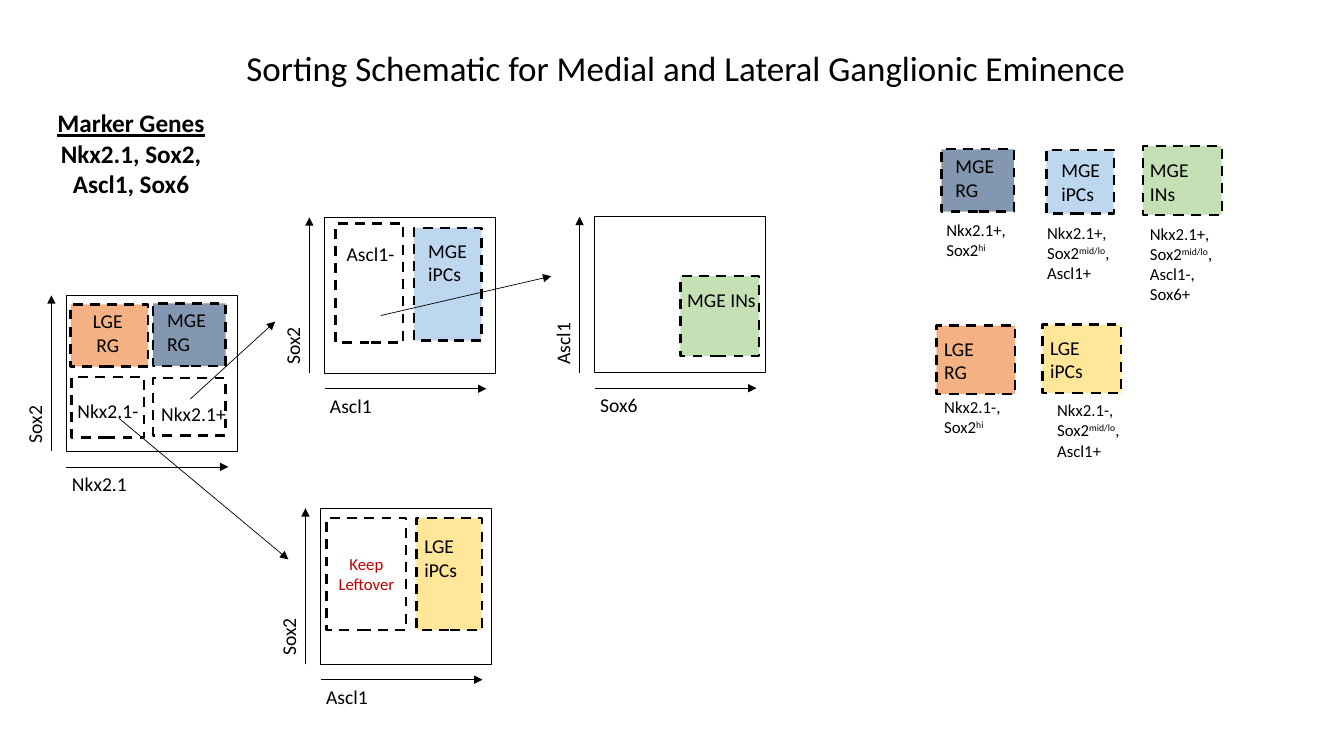
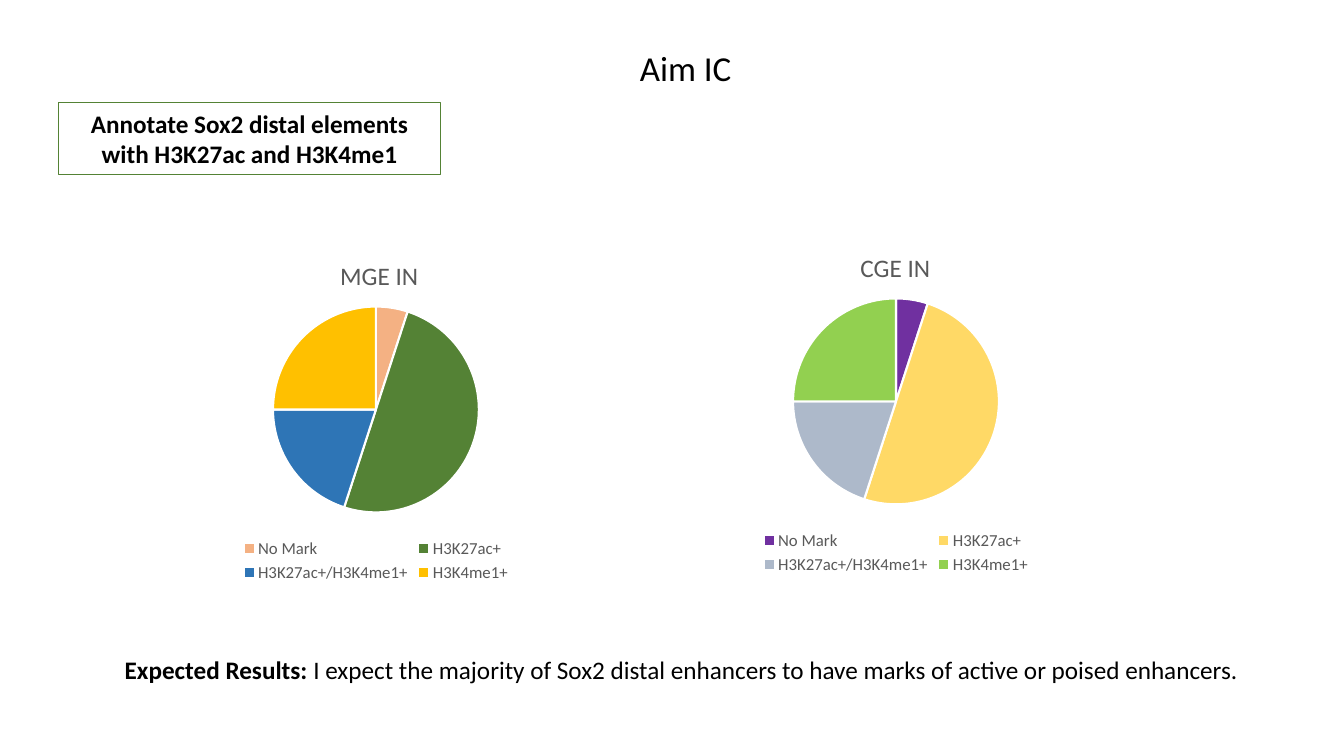
import pptx
import pptx.chart.data
import pptx.dml.color
import pptx.enum.chart
import pptx.enum.dml
import pptx.enum.shapes
import pptx.enum.text
import pptx.oxml
import pptx.oxml.ns
import pptx.util
from lxml import etree

Pt = pptx.util.Pt
RGB = pptx.dml.color.RGBColor
ALIGN = pptx.enum.text.PP_ALIGN
ANCHOR = pptx.enum.text.MSO_ANCHOR
RECT = pptx.enum.shapes.MSO_SHAPE.RECTANGLE
STRAIGHT = pptx.enum.shapes.MSO_CONNECTOR.STRAIGHT
qn = pptx.oxml.ns.qn

FONT = "Calibri"
BLACK, WHITE = RGB(0, 0, 0), RGB(255, 255, 255)
GREY, RED = RGB(0x59, 0x59, 0x59), RGB(0xC0, 0, 0)
SLATE, BLUE = RGB(0x84, 0x97, 0xB0), RGB(0xBD, 0xD7, 0xEE)
GREEN, ORANGE = RGB(0xC5, 0xE0, 0xB4), RGB(0xF4, 0xB1, 0x83)
YELLOW, DARK_GREEN = RGB(0xFF, 0xE6, 0x99), RGB(0x54, 0x82, 0x35)

TITLE = {"size": Pt(25)}
HEADING = {"size": Pt(18), "bold": True}
LABEL = {"size": Pt(14)}
CAPTION = {"size": Pt(12)}

SORTING_TITLE = "Sorting Schematic for Medial and Lateral Ganglionic Eminence"
MARKERS = [("Marker Genes", {"underline": True}), "Nkx2.1, Sox2,", "Ascl1, Sox6"]

PLOT_W, PLOT_H = 122, 111.5
# left, top, horizontal axis, vertical axis
PLOTS = [
    (47.5, 211, "Nkx2.1", "Sox2"),
    (231.8, 155.2, "Ascl1", "Sox2"),
    (424.8, 154.8, "Sox6", "Ascl1"),
    (229, 363, "Ascl1", "Sox2"),
]

# gate box, fill, label lines, label position (left, top, width), alignment
GATES = [
    ((109.4, 216.7, 51.8, 44.6), SLATE, ["MGE", "RG"], (112.3, 216.7, 46), ALIGN.LEFT),
    ((51.1, 269.3, 51.8, 43.2), None, ["Nkx2.1-"], (48.2, 281.5, 74), ALIGN.LEFT),
    ((109.4, 270, 51.8, 41), None, ["Nkx2.1+"], (108, 283.7, 74), ALIGN.LEFT),
    ((50.4, 217.4, 55.4, 44.6), ORANGE, ["LGE", "RG"], (48.2, 217.4, 57.6), ALIGN.CENTER),
    ((239.8, 159.8, 48.2, 85), None, ["Ascl1-"], (240.5, 169.2, 77), ALIGN.LEFT),
    ((295.9, 162.7, 48.2, 80.6), BLUE, ["MGE", "iPCs"], (298.8, 167, 50), ALIGN.LEFT),
    ((486, 197.3, 56.2, 56.9), GREEN, ["MGE INs"], (483.8, 202.3, 66), ALIGN.LEFT),
    ((297.4, 370, 46.8, 80), YELLOW, ["LGE", "iPCs"], (296, 378, 48.2), ALIGN.LEFT),
    ((672.5, 106.6, 51.8, 44.6), SLATE, ["MGE", "RG"], (675.4, 106.6, 46), ALIGN.LEFT),
    ((747.4, 107.3, 48.2, 45.4), BLUE, ["MGE", "iPCs"], (751, 109.4, 50), ALIGN.LEFT),
    ((816.5, 104.4, 56.2, 49), GREEN, ["MGE", "INs"], (814.3, 109.4, 57.6), ALIGN.LEFT),
    ((668.9, 232.6, 56.2, 49), ORANGE, ["LGE", "RG"], (667.4, 236.9, 57.6), ALIGN.LEFT),
    ((744.5, 231.8, 56.2, 49), YELLOW, ["LGE", "iPCs"], (743, 236.2, 57.6), ALIGN.LEFT),
]
LEFTOVER_BOX = (233.3, 370, 56.9, 80)

# left, top, lines; text between ^ marks is superscript
CAPTIONS = [
    (668.9, 153.4, ["Nkx2.1+,", "Sox2^hi^"]),
    (740.9, 155.5, ["Nkx2.1+,", "Sox2^mid/lo^,", "Ascl1+"]),
    (814.3, 156.2, ["Nkx2.1+,", "Sox2^mid/lo^,", "Ascl1-,", "Sox6+"]),
    (667.4, 280, ["Nkx2.1-,", "Sox2^hi^"]),
    (748, 282.2, ["Nkx2.1-,", "Sox2^mid/lo^,", "Ascl1+"]),
]

# sorting steps: x1, y1, x2, y2
STEPS = [
    (136, 285, 196.6, 229.7),
    (272, 225.4, 393.8, 197.3),
    (85, 298.8, 206, 399.6),
]

AIM = ["Annotate Sox2 distal elements", "with H3K27ac and H3K4me1"]
RESULT_HEAD = "Expected Results: "
RESULT = ("I expect the majority of Sox2 distal enhancers to have marks of "
          "active or poised enhancers.")
MARKS = ["No Mark", "H3K27ac+", "H3K27ac+/H3K4me1+", "H3K4me1+"]
SHARES = [5, 50, 20, 25]
# title, left, top, slice colours
PIES = [
    ("MGE IN", 108.7, 168.5, ["F4B183", "548235", "2E75B6", "FFC000"]),
    ("CGE IN", 480.2, 162.7, ["7030A0", "FFD966", "ADB9CA", "92D050"]),
]


def set_font(font, fmt, color=BLACK):
    for name, value in {"name": FONT, **fmt}.items():
        setattr(font, name, value)
    font.color.rgb = color


def add_run(p, text, fmt, color=BLACK):
    r = p.add_run()
    r.text = text
    set_font(r.font, fmt, color)
    return r


def write(tf, lines, fmt, align=ALIGN.LEFT, color=BLACK):
    """One paragraph per line; a line is text, or text with extra format."""
    tf.word_wrap = True
    for i, line in enumerate(lines):
        text, extra = line if isinstance(line, tuple) else (line, {})
        p = tf.paragraphs[0] if i == 0 else tf.add_paragraph()
        p.alignment = align
        for j, part in enumerate(text.split("^")):
            if part:
                r = add_run(p, part, {**fmt, **extra}, color)
                if j % 2:
                    r.font._element.set("baseline", "30000")


def add_text(s, box, lines, fmt, align=ALIGN.LEFT):
    sp = s.shapes.add_textbox(*map(Pt, box))
    write(sp.text_frame, lines, fmt, align)
    return sp


def add_rect(s, box, fill=None, line=BLACK, width=1, dashed=False):
    sp = s.shapes.add_shape(RECT, *map(Pt, box))
    sp.shadow.inherit = False
    if fill is None:
        sp.fill.background()
    else:
        sp.fill.solid()
        sp.fill.fore_color.rgb = fill
    sp.line.color.rgb = line
    sp.line.width = Pt(width)
    if dashed:
        sp.line.dash_style = pptx.enum.dml.MSO_LINE.DASH
    return sp


def add_arrow(s, x1, y1, x2, y2):
    c = s.shapes.add_connector(STRAIGHT, *map(Pt, (x1, y1, x2, y2)))
    c.line.color.rgb = BLACK
    c.line.width = Pt(0.5)
    etree.SubElement(c.line._get_or_add_ln(), qn("a:tailEnd"), type="triangle")
    etree.SubElement(c._element.spPr, qn("a:effectLst"))


def add_plot(s, x, y, x_name, y_name):
    add_rect(s, (x, y, PLOT_W, PLOT_H))
    axis_y = y + PLOT_H + 11
    add_arrow(s, x - 10.8, y + PLOT_H, x - 10.8, y)
    add_arrow(s, x, axis_y, x + 115.6, axis_y)
    add_text(s, (x - 3.2, axis_y, 75.6, 24.5), [x_name], LABEL)
    add_text(s, (x - 60.5, y + 62.5, 75.6, 24.5), [y_name], LABEL).rotation = 270


def set_layout(parent, **fractions):
    """Place a chart part by fractions of the chart area."""
    for old in parent.findall(qn("c:layout")):
        parent.remove(old)
    layout = etree.Element(qn("c:layout"))
    manual = etree.SubElement(layout, qn("c:manualLayout"))
    if "w" in fractions:
        etree.SubElement(manual, qn("c:layoutTarget"), val="inner")
    for mode in ("xMode", "yMode"):
        etree.SubElement(manual, qn("c:" + mode), val="edge")
    for name, value in fractions.items():
        etree.SubElement(manual, qn("c:" + name), val=str(value))
    tx = parent.find(qn("c:tx"))
    parent.insert(0 if tx is None else parent.index(tx) + 1, layout)


def add_pie(s, title, x, y, colors):
    data = pptx.chart.data.CategoryChartData()
    data.categories = MARKS
    data.add_series("Series 1", SHARES)
    chart = s.shapes.add_chart(pptx.enum.chart.XL_CHART_TYPE.PIE,
                               *map(Pt, (x, y, 319.7, 250.6)), data).chart
    set_font(chart.font, {"size": Pt(10)})
    p = chart.chart_title.text_frame.paragraphs[0]
    add_run(p, title, {"size": Pt(18), "bold": False}, GREY)
    set_layout(chart.chart_title._element, x=0.41, y=0.05)
    chart.has_legend = True
    chart.legend.position = pptx.enum.chart.XL_LEGEND_POSITION.BOTTOM
    chart.legend.include_in_layout = False
    set_font(chart.legend.font, CAPTION, GREY)
    plot = chart.plots[0]
    plot.vary_by_categories = True
    set_layout(chart._chartSpace.chart.plotArea, x=0.27, y=0.2, w=0.46, h=0.59)
    for i, color in enumerate(colors):
        fmt = plot.series[0].points[i].format
        fmt.fill.solid()
        fmt.fill.fore_color.rgb = RGB.from_string(color)
        fmt.line.color.rgb = WHITE
        fmt.line.width = Pt(1.5)


def add_slide(prs, title):
    s = prs.slides.add_slide(prs.slide_layouts[6])
    add_text(s, (44, 29.5, 891.4, 37.5), [title], TITLE, ALIGN.CENTER)
    return s


def build_sorting(prs):
    s = add_slide(prs, SORTING_TITLE)
    add_text(s, (14.4, 73.4, 158.4, 72.7), MARKERS, HEADING, ALIGN.CENTER)
    for plot in PLOTS:
        add_plot(s, *plot)
    for box, fill, lines, (x, y, w), align in GATES:
        add_rect(s, box, fill, width=1.75, dashed=True)
        add_text(s, (x, y, w, 7.2 + 17 * len(lines)), lines, LABEL, align)
    leftover = add_rect(s, LEFTOVER_BOX, width=1.75, dashed=True).text_frame
    leftover.vertical_anchor = ANCHOR.MIDDLE
    leftover.margin_left = leftover.margin_right = Pt(4)
    write(leftover, ["Keep", "Leftover"], CAPTION, ALIGN.CENTER, RED)
    for x, y, lines in CAPTIONS:
        add_text(s, (x, y, 80, 7.2 + 14.6 * len(lines)), lines, CAPTION)
    for step in STEPS:
        add_arrow(s, *step)


def build_aim(prs):
    s = add_slide(prs, "Aim IC")
    sp = add_rect(s, (41.8, 73.4, 272.9, 51), line=DARK_GREEN, width=0.75)
    write(sp.text_frame, AIM, HEADING, ALIGN.CENTER)
    for pie in PIES:
        add_pie(s, *pie)
    sp = add_text(s, (82, 463.7, 820, 29), [RESULT_HEAD], HEADING)
    add_run(sp.text_frame.paragraphs[0], RESULT, {"size": Pt(18)})


def main():
    prs = pptx.Presentation()
    prs.slide_width, prs.slide_height = Pt(960), Pt(540)
    build_sorting(prs)
    build_aim(prs)
    prs.save("out.pptx")


if __name__ == "__main__":
    main()
